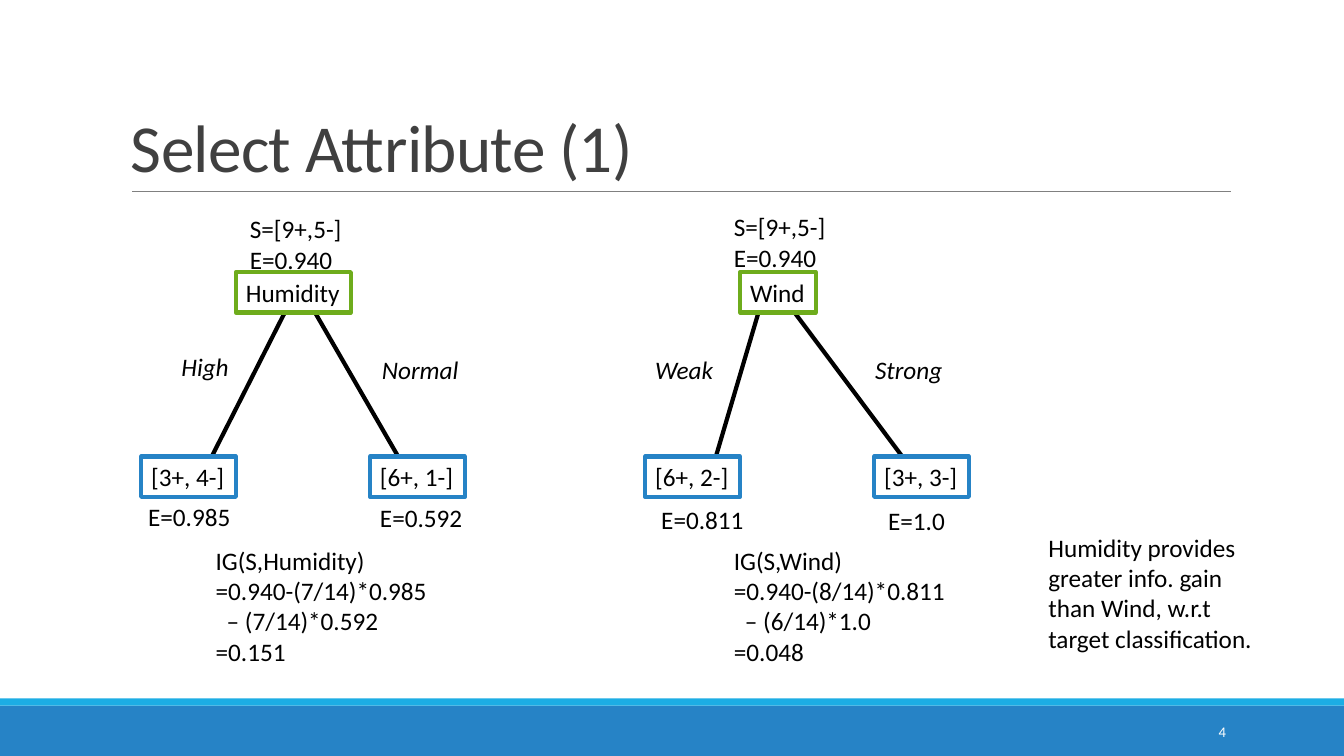
from dataclasses import dataclass

from lxml import etree
from pptx import Presentation
from pptx import util as u
from pptx.dml.color import RGBColor
from pptx.enum import shapes, text
from pptx.oxml.ns import qn


@dataclass(frozen=True)
class Theme:
    font: str = "Calibri"
    title_size: float = 48
    body_size: float = 18
    number_size: float = 10.5
    ink: str = "000000"
    title_ink: str = "404040"
    paper: str = "FFFFFF"
    rule: str = "808080"
    footer: str = "2683C6"
    footer_edge: str = "1CADE4"
    root: str = "6EAC1C"
    leaf: str = "2683C6"


@dataclass(frozen=True)
class Branch:
    value: str
    value_at: tuple
    edge: tuple
    counts: str
    entropy: str
    entropy_at: tuple
    spacing: float = 1.0


@dataclass(frozen=True)
class Tree:
    attribute: str
    root_width: float
    sample_at: tuple
    branches: tuple
    gain_left: float
    gain: tuple


THEME = Theme()
ROOT_AT = (0.94, 0.65)
LEAF_TOP = 2.48
LEAF_STEP = 2.27
LEAF_WIDTH = 0.94
ROW_HEIGHT = 0.4
GAIN_TOP = 3.31

HUMIDITY = Tree(
    "Humidity", 1.14, (0.98, 0.02, 1.12, 0.71),
    (
        Branch("High", (0.3, 1.39, 0.68, ROW_HEIGHT), (1.42, 1.06, 0.7, LEAF_TOP),
               "[3+, 4-]", "E=0.985", (-0.03, 2.96, 1.11, 0.31), 0.7),
        Branch("Normal", (2.29, 1.42, 0.97, ROW_HEIGHT), (1.73, 1.06, 2.55, LEAF_TOP),
               "[6+, 1-]", "E=0.592", (2.27, 2.88, 1.15, ROW_HEIGHT)),
    ),
    0.64, ("IG(S,Humidity)", "=0.940-(7/14)*0.985", "– (7/14)*0.592", "=0.151"),
)
WIND = Tree(
    "Wind", 0.75, (0.78, 0, 1.12, 0.71),
    (
        Branch("Weak", (0, 1.42, 0.78, ROW_HEIGHT), (1.12, 1.06, 0.7, LEAF_TOP),
               "[6+, 2-]", "E=0.811", (0.06, 2.9, 1.07, ROW_HEIGHT)),
        Branch("Strong", (2.18, 1.42, 0.88, ROW_HEIGHT), (1.48, 1.05, 2.55, LEAF_TOP),
               "[3+, 3-]", "E=1.0", (2.31, 2.91, 0.89, ROW_HEIGHT)),
    ),
    0.78, ("IG(S,Wind)", "=0.940-(8/14)*0.811", "– (6/14)*1.0", "=0.048"),
)


def color(value):
    return RGBColor.from_string(value)


def inches(lengths):
    return [u.Inches(length) for length in lengths]


def shifted(origin, at):
    return (origin[0] + at[0], origin[1] + at[1], *at[2:])


def add_line(slide, ends, ink, width):
    line = slide.shapes.add_connector(shapes.MSO_CONNECTOR.STRAIGHT, *inches(ends))
    line.line.color.rgb = color(ink)
    line.line.width = u.Pt(width)
    etree.SubElement(line._element.spPr, qn("a:effectLst"))


def add_rect(slide, at, fill, border=None):
    rect = slide.shapes.add_shape(shapes.MSO_SHAPE.RECTANGLE, *inches(at))
    rect.shadow.inherit = False
    rect.fill.solid()
    rect.fill.fore_color.rgb = color(fill)
    if border:
        rect.line.color.rgb = color(border)
        rect.line.width = u.Pt(3)
    else:
        rect.line.fill.background()
    return rect


def write(holder, lines, size=THEME.body_size, ink=THEME.ink, italic=False, wrap=False,
          anchor=text.MSO_ANCHOR.TOP, align=text.PP_ALIGN.LEFT, spacing=None, grow=True):
    frame = holder.text_frame
    frame.word_wrap = wrap
    frame.vertical_anchor = anchor
    frame.auto_size = text.MSO_AUTO_SIZE.SHAPE_TO_FIT_TEXT if grow else text.MSO_AUTO_SIZE.NONE
    for index, line in enumerate(lines):
        paragraph = frame.paragraphs[0] if index == 0 else frame.add_paragraph()
        paragraph.alignment = align
        if spacing:
            paragraph.line_spacing = spacing
        if line.startswith("–"):
            paragraph._p.get_or_add_pPr().set("marL", str(u.Inches(0.11)))
        run = paragraph.add_run()
        run.text = line
        run.font.name = THEME.font
        run.font.size = u.Pt(size)
        run.font.color.rgb = color(ink)
        run.font.italic = italic
    return frame


def add_text(slide, at, lines, **style):
    return write(slide.shapes.add_textbox(*inches(at)), lines, **style)


def add_footer(slide, box, number):
    left, top, width, height = box
    edge = 0.07
    add_rect(slide, (left, top + edge, width, height - edge), THEME.footer)
    add_rect(slide, (left, top, width, edge), THEME.footer_edge)
    add_text(slide, (left + 10.83, top + 0.13, 1.43, 0.4), [number],
             size=THEME.number_size, ink=THEME.paper, wrap=True, grow=False,
             anchor=text.MSO_ANCHOR.MIDDLE, align=text.PP_ALIGN.RIGHT)


def add_title(slide, box, title):
    left, top, width, height = box
    bottom = top + height
    add_line(slide, (left + 0.11, bottom, left + width + 0.01, bottom), THEME.rule, 0.5)
    frame = add_text(slide, box, [title], size=THEME.title_size, ink=THEME.title_ink,
                     wrap=True, grow=False, anchor=text.MSO_ANCHOR.BOTTOM, spacing=0.85)
    frame.paragraphs[0].runs[0].font._element.set("spc", "-50")


def add_tree(slide, origin, tree):
    for branch in tree.branches:
        start, end = branch.edge[:2], branch.edge[2:]
        add_line(slide, shifted(origin, start) + shifted(origin, end), THEME.ink, 3)
    root = add_rect(slide, shifted(origin, (*ROOT_AT, tree.root_width, ROW_HEIGHT)),
                    THEME.paper, THEME.root)
    write(root, [tree.attribute])
    for index, branch in enumerate(tree.branches):
        value = add_rect(slide, shifted(origin, branch.value_at), THEME.paper)
        write(value, [branch.value], italic=True)
        leaf_at = (index * LEAF_STEP, LEAF_TOP, LEAF_WIDTH, ROW_HEIGHT)
        leaf = add_rect(slide, shifted(origin, leaf_at), THEME.paper, THEME.leaf)
        write(leaf, [branch.counts])
        add_text(slide, shifted(origin, branch.entropy_at), [branch.entropy],
                 wrap=True, spacing=branch.spacing)
    add_text(slide, shifted(origin, tree.sample_at), ["S=[9+,5-]", "E=0.940"])
    add_text(slide, shifted(origin, (tree.gain_left, GAIN_TOP, 2.38, 1.31)), tree.gain)


def add_conclusion(slide, box):
    add_text(slide, box, ["Humidity provides greater info. gain than Wind, "
                          "w.r.t target classification."], wrap=True)


def main():
    deck = Presentation()
    deck.slide_width, deck.slide_height = inches((13.33, 7.5))
    slide = deck.slides.add_slide(deck.slide_layouts[6])
    add_footer(slide, (0, 6.93, 13.33, 0.57), "4")
    add_title(slide, (1.2, 0.31, 11, 1.59), "Select Attribute (1)")
    add_tree(slide, (1.4, 2.05), HUMIDITY)
    add_tree(slide, (6.4, 2.05), WIND)
    add_conclusion(slide, (10.3, 5.23, 2.23, 1.31))
    deck.save("out.pptx")


if __name__ == "__main__":
    main()
